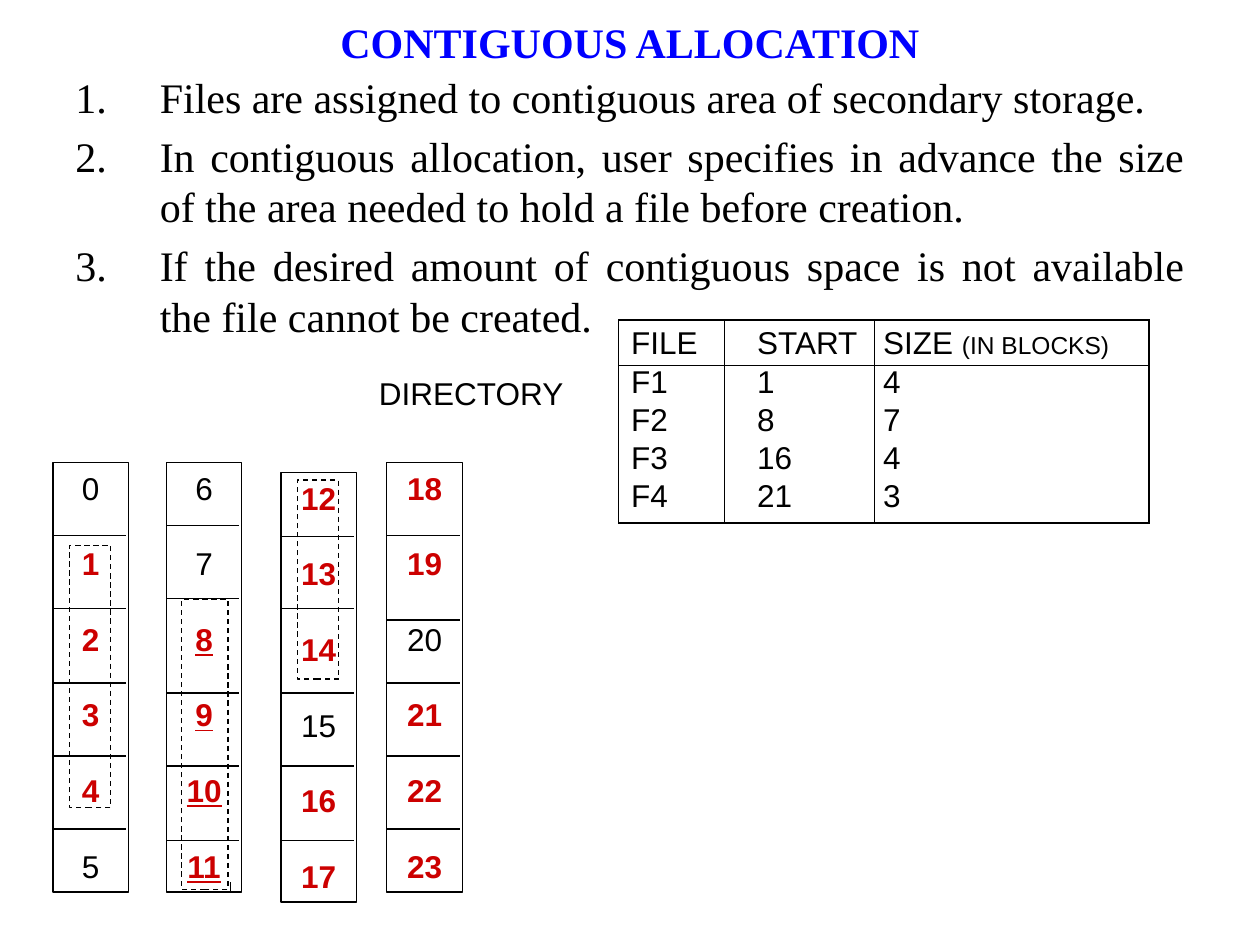
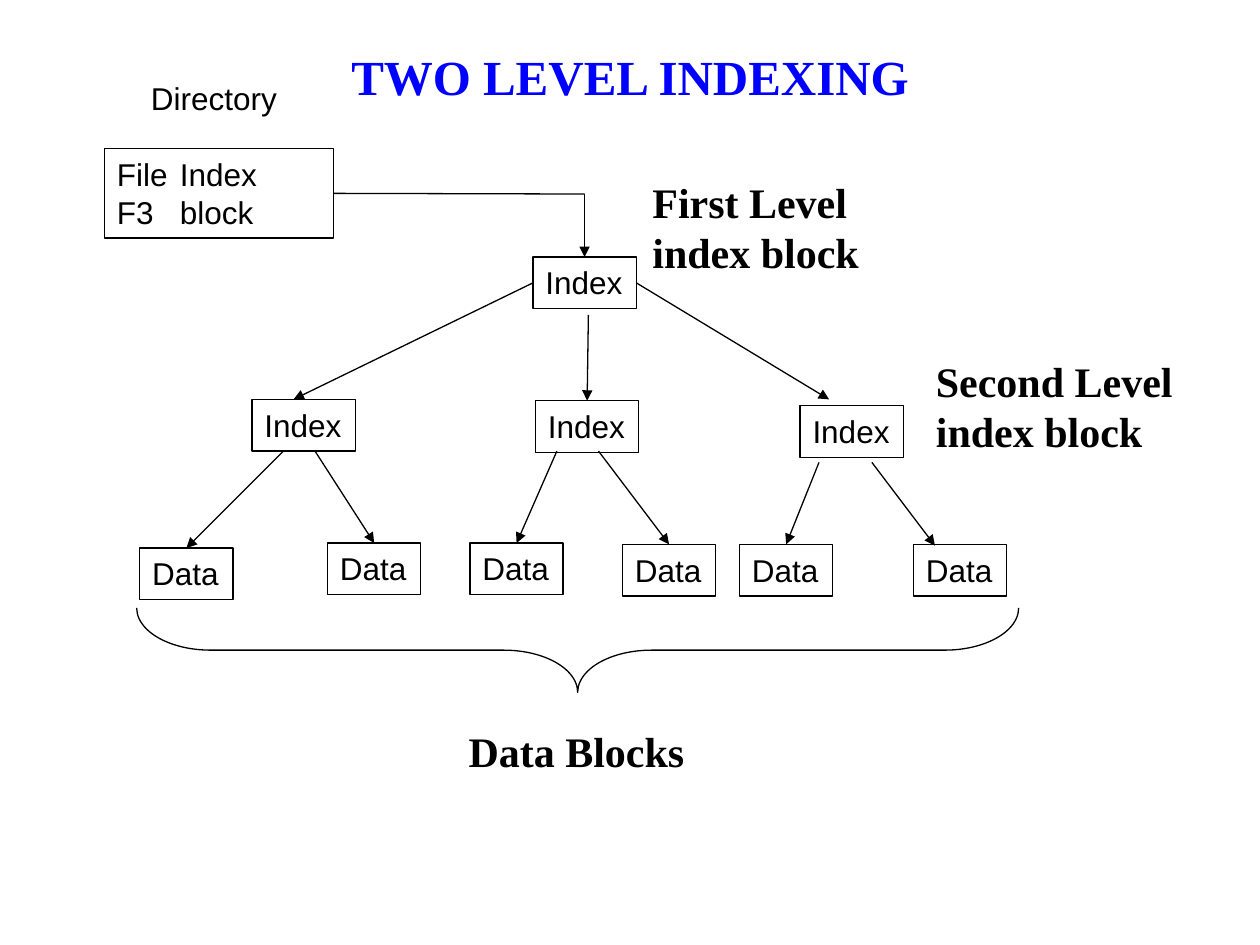
from lxml.etree import SubElement
from pptx import Presentation
from pptx.dml.color import RGBColor
from pptx.enum.dml import MSO_LINE_DASH_STYLE as DASH
from pptx.enum.shapes import MSO_CONNECTOR as CONN, MSO_SHAPE as SHAPE
from pptx.enum.text import MSO_ANCHOR as ANCHOR, MSO_AUTO_SIZE as AUTO, PP_ALIGN as ALIGN
from pptx.oxml.ns import qn
from pptx.util import Inches, Pt

BLACK, BLUE, RED = "000000", "0000FF", "CC0000"
SANS, SERIF = "Arial", "Times New Roman"
TOP, LEFT, BOTTOM, RIGHT = range(4)


def rgb(code):
    return RGBColor.from_string(code)


class Deck:
    """Holds the shared style and the slide being built."""

    line_width = Pt(0.75)

    def __init__(self):
        self.prs = Presentation()
        self.prs.slide_width, self.prs.slide_height = Inches(10), Inches(7.5)
        self.slide = None

    def add_slide(self, title, top, height, size):
        self.slide = self.prs.slides.add_slide(self.prs.slide_layouts[5])
        sp = self.slide.shapes.title
        sp.left, sp.top = Inches(0.5), Inches(top)
        sp.width, sp.height = Inches(9), Inches(height)
        tf = sp.text_frame
        tf.vertical_anchor = ANCHOR.MIDDLE
        p = tf.paragraphs[0]
        p.alignment = ALIGN.CENTER
        self.run(p, title, size, SERIF, BLUE, True)

    def run(self, p, text, size=18, font=SANS, color=BLACK, bold=False, underline=False):
        r = p.add_run()
        r.text = text
        r.font.size, r.font.name = Pt(size), font
        r.font.bold, r.font.underline = bold, underline
        r.font.color.rgb = rgb(color)

    def paragraphs(self, tf, count):
        return [tf.paragraphs[0]] + [tf.add_paragraph() for _ in range(count - 1)]

    def fill_lines(self, sp, lines, **style):
        """Unwrapped lines of text in a frame that fits them."""
        tf = sp.text_frame
        tf.word_wrap, tf.auto_size = False, AUTO.SHAPE_TO_FIT_TEXT
        tf.vertical_anchor = ANCHOR.TOP
        for p, line in zip(self.paragraphs(tf, len(lines)), lines):
            p.alignment = ALIGN.LEFT
            self.run(p, line, **style)

    def label(self, x, y, w, h, *lines, **style):
        sp = self.slide.shapes.add_textbox(Inches(x), Inches(y), Inches(w), Inches(h))
        self.fill_lines(sp, lines, **style)

    def heading(self, x, y, w, h, *lines):
        self.label(x, y, w, h, *lines, size=24, font=SERIF, bold=True)

    def shape(self, x, y, w, h, kind=SHAPE.RECTANGLE, dashed=False):
        sp = self.slide.shapes.add_shape(kind, Inches(x), Inches(y), Inches(w), Inches(h))
        sp.shadow.inherit = False
        sp.fill.background()
        sp.line.color.rgb, sp.line.width = rgb(BLACK), self.line_width
        if dashed:
            sp.line.dash_style = DASH.DASH
        return sp

    def box(self, x, y, w, h, *lines):
        sp = self.shape(x, y, w, h)
        self.fill_lines(sp, lines)
        return sp

    def line(self, start, end, arrow=False):
        """Each end is a point (x, y) or a joined side (shape, side)."""
        joined = [not isinstance(e[0], (int, float)) for e in (start, end)]
        x1, y1 = (0, 0) if joined[0] else start
        x2, y2 = (0, 0) if joined[1] else end
        c = self.slide.shapes.add_connector(
            CONN.STRAIGHT, Inches(x1), Inches(y1), Inches(x2), Inches(y2))
        if joined[0]:
            c.begin_connect(*start)
        if joined[1]:
            c.end_connect(*end)
        c.line.color.rgb, c.line.width = rgb(BLACK), self.line_width
        spPr = c._element.spPr
        if arrow:
            SubElement(spPr.find(qn("a:ln")), qn("a:tailEnd"), type="triangle")
        SubElement(spPr, qn("a:effectLst"))

    def numbered(self, x, y, w, h, items):
        sp = self.slide.shapes.add_textbox(Inches(x), Inches(y), Inches(w), Inches(h))
        tf = sp.text_frame
        tf.word_wrap = True
        for p, item in zip(self.paragraphs(tf, len(items)), items):
            p.alignment, p.space_before = ALIGN.JUSTIFY, Pt(4.8)
            pPr = p._p.get_or_add_pPr()
            pPr.set("marL", str(Inches(0.67)))
            pPr.set("indent", str(-Inches(0.67)))
            SubElement(pPr, qn("a:buFont"), typeface="+mj-lt")
            SubElement(pPr, qn("a:buAutoNum"), type="arabicPeriod")
            self.run(p, item, 24, SERIF)

    def borders(self, cell, sides):
        tcPr = cell._tc.get_or_add_tcPr()
        for side in "LRTB":
            ln = SubElement(tcPr, qn("a:ln" + side), w=str(self.line_width))
            if side in sides:
                SubElement(SubElement(ln, qn("a:solidFill")), qn("a:srgbClr"), val=BLACK)
            else:
                SubElement(ln, qn("a:noFill"))
        cell.fill.background()

    def table(self, x, y, widths, heights, indents, rows):
        """Outer frame, column rules and a rule below the header."""
        frame = self.slide.shapes.add_table(
            len(rows), len(widths), Inches(x), Inches(y),
            Inches(sum(widths)), Inches(sum(heights)))
        tbl = frame.table
        tbl.first_row = tbl.horz_banding = False
        for col, width in zip(tbl.columns, widths):
            col.width = Inches(width)
        for i, (row, height) in enumerate(zip(rows, heights)):
            tbl.rows[i].height = Inches(height)
            sides = "LR" + ("TB" if i == 0 else "T" if i == 1 else "")
            sides += "B" if i == len(rows) - 1 else ""
            for j, runs in enumerate(row):
                cell = tbl.cell(i, j)
                cell.margin_left, cell.margin_right = Inches(indents[j]), 0
                cell.margin_top, cell.margin_bottom = Inches(0 if i else 0.05), 0
                self.borders(cell, sides)
                for text, size in runs:
                    self.run(cell.text_frame.paragraphs[0], text, size)

    def block_column(self, x, y, first, dividers, used, underlined):
        """Six numbered disk blocks, used ones in bold red."""
        sp = self.shape(x, y, 0.6, 3.41)
        tf = sp.text_frame
        tf.word_wrap, tf.vertical_anchor = True, ANCHOR.TOP
        for n, p in enumerate(self.paragraphs(tf, 6), first):
            p.alignment = ALIGN.CENTER
            if n > first:
                p.space_before = Pt(21.6)
            self.run(p, str(n), color=RED if n in used else BLACK,
                     bold=n in used, underline=n in underlined)
        for at in dividers:
            self.line((x, at), (x + 0.58, at))


def contiguous_allocation(deck):
    deck.add_slide("CONTIGUOUS ALLOCATION", -0.02, 0.7, 24)
    deck.numbered(0.5, 0.52, 9, 2.42, [
        "Files are assigned to contiguous area of secondary storage.",
        "In contiguous allocation, user specifies in advance the size of the area "
        "needed to hold a file before creation.",
        "If the desired amount of contiguous space is not available the file cannot "
        "be created.",
    ])

    # Directory of files
    files = [("F1", 1, 4), ("F2", 8, 7), ("F3", 16, 4), ("F4", 21, 3)]
    header = [[("FILE", 18)], [("START", 18)], [("SIZE ", 18), ("(IN BLOCKS)", 14)]]
    rows = [header] + [[[(str(v), 18)] for v in f] for f in files]
    deck.table(4.91, 2.54, (0.84, 1.19, 2.18), (0.36, 0.3, 0.3, 0.3, 0.35),
               (0.1, 0.26, 0.07), rows)
    deck.label(2.91, 2.92, 1.67, 0.4, "DIRECTORY")

    # Disk blocks
    used = {n for _, start, size in files for n in range(start, start + size)}
    columns = [
        (0.42, 3.67, (4.25, 4.83, 5.42, 6, 6.58)),
        (1.32, 3.67, (4.17, 4.75, 5.5, 6.08, 6.67)),
        (2.23, 3.75, (4.26, 4.83, 5.5, 6.08, 6.67)),
        (3.07, 3.67, (4.25, 4.92, 5.42, 6, 6.58)),
    ]
    for i, (x, y, dividers) in enumerate(columns):
        deck.block_column(x, y, 6 * i, dividers, used, range(8, 12))

    # Dashed outlines around the blocks of F1 and F2
    for area in ((0.55, 4.33, 0.33, 2.08), (1.44, 4.76, 0.37, 2.3), (2.36, 3.81, 0.33, 1.58)):
        deck.shape(*area, dashed=True)
    deck.line((1.83, 7.08), (1.83, 7))


def two_level_indexing(deck):
    deck.add_slide("TWO LEVEL INDEXING", 0.21, 0.78, 28)

    # Directory entry and first level
    deck.label(1.1, 0.58, 1.2, 0.4, "Directory")
    entry = deck.box(0.83, 1.18, 1.82, 0.71, "File\tIndex", "F3\tblock")
    root = deck.box(4.23, 2.04, 0.82, 0.41, "Index")
    corner = (4.64, 1.54)
    deck.line((entry, RIGHT), corner)
    deck.line(corner, (root, TOP), arrow=True)

    # Second level and data blocks
    left, middle, right = [deck.box(x, y, 0.82, 0.41, "Index")
                           for x, y in ((2, 3.17), (4.25, 3.18), (6.35, 3.22))]
    data = [deck.box(x, y, 0.74, 0.41, "Data") for x, y in (
        (1.11, 4.35), (2.6, 4.31), (3.73, 4.31), (4.94, 4.32), (5.87, 4.32), (7.25, 4.32))]

    # Pointers
    for start, end in (
        ((root, LEFT), (2.33, 3.17)),
        ((4.67, 2.5), (middle, TOP)),
        ((root, RIGHT), (6.58, 3.17)),
        ((2.25, 3.58), (data[0], TOP)),
        ((2.5, 3.58), (data[1], TOP)),
        ((4.42, 3.58), (data[2], TOP)),
        ((4.75, 3.58), (data[3], TOP)),
        ((6.5, 3.67), (data[4], TOP)),
        ((6.92, 3.67), (7.42, 4.33)),
    ):
        deck.line(start, end, arrow=True)

    # Brace and level names
    brace = deck.shape(4.25, 1.66, 0.67, 7, SHAPE.LEFT_BRACE)
    brace.rotation = 270
    brace.adjustments[0], brace.adjustments[1] = 0.875, 0.5
    deck.heading(3.62, 5.71, 1.91, 0.5, "Data Blocks")
    deck.heading(5.08, 1.35, 1.84, 0.9, "First Level", "index block")
    deck.heading(7.33, 2.77, 2.16, 0.9, "Second Level", "index block")


def main():
    deck = Deck()
    contiguous_allocation(deck)
    two_level_indexing(deck)
    deck.prs.save("out.pptx")


if __name__ == "__main__":
    main()
